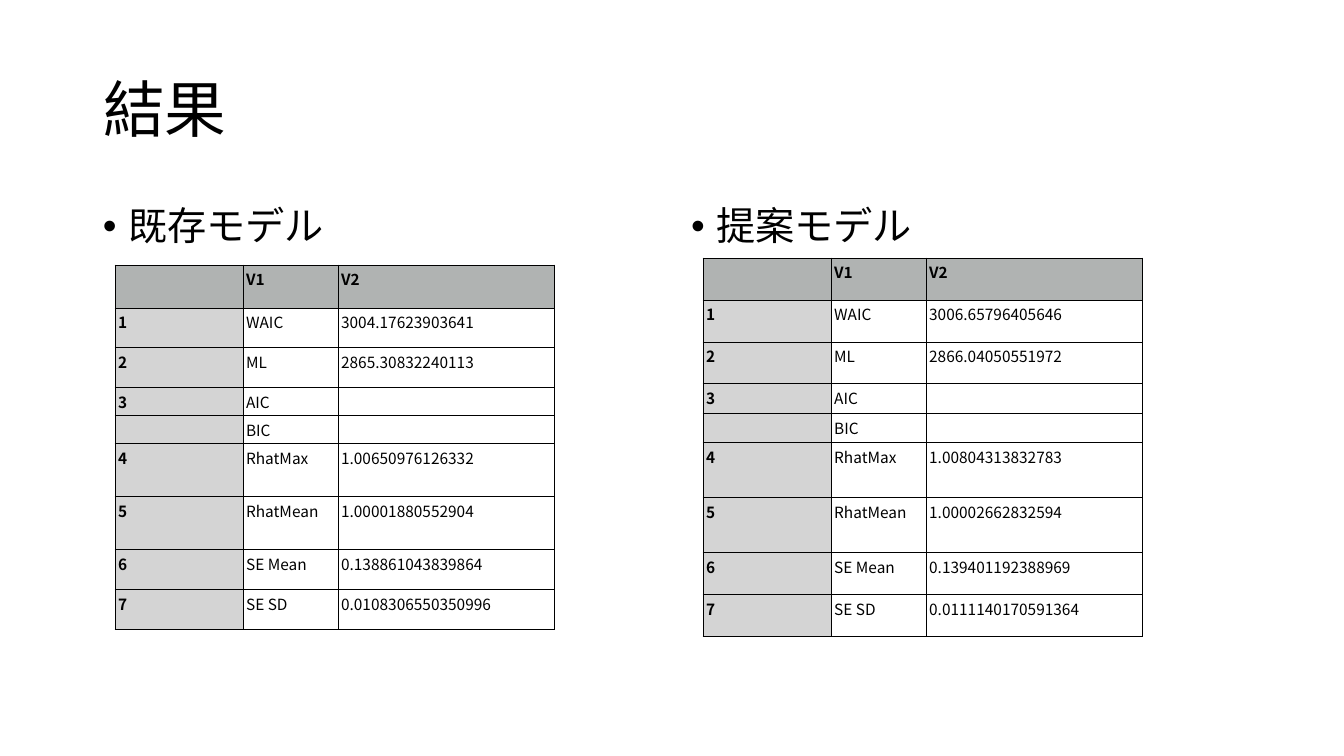
from lxml import etree
from pptx import Presentation
from pptx import util as u
from pptx.dml.color import RGBColor
from pptx.enum import text
from pptx.oxml import ns

PX = 9071
FONT = "Noto Sans CJK JP"
BLACK, HEADER, INDEX = "000000", "B0B3B2", "D4D4D4"
COLUMNS = [128, 95, 216]
INDICES = ["1", "2", "3", "", "4", "5", "6", "7"]
MEASURES = ["WAIC", "ML", "AIC", "BIC", "RhatMax", "RhatMean", "SE Mean", "SE SD"]


def px(*lengths):
    return [u.Emu(n * PX) for n in lengths]


def color(value):
    return RGBColor.from_string(value)


def add_xml(parent, tag, **attrs):
    return etree.SubElement(parent, ns.qn(tag), attrs)


def style(p, size, bold=False):
    for r in p.runs:
        r.font.size, r.font.bold, r.font.name = u.Pt(size), bold, FONT
        r.font.color.rgb = color(BLACK)
        add_xml(r._r.get_or_add_rPr(), "a:ea", typeface=FONT)


def add_title(s, box, words):
    sp = s.shapes.title
    sp.left, sp.top, sp.width, sp.height = px(*box)
    tf = sp.text_frame
    tf.text = words
    tf.auto_size = text.MSO_AUTO_SIZE.NONE
    tf.vertical_anchor = text.MSO_ANCHOR.MIDDLE
    p = tf.paragraphs[0]
    p.alignment, p.line_spacing = text.PP_ALIGN.LEFT, 0.9
    style(p, 44)


def add_bullet(s, box, words):
    tf = s.shapes.add_textbox(*px(*box)).text_frame
    tf.word_wrap = True
    tf.text = words
    p = tf.paragraphs[0]
    p.line_spacing, p.space_before = 0.9, u.Pt(10)
    pPr = p._p.get_or_add_pPr()
    pPr.set("marL", "228600")
    pPr.set("indent", "-228600")
    add_xml(pPr, "a:buFont", typeface="Arial")
    add_xml(pPr, "a:buChar", char="•")
    style(p, 28)


def format_cell(cell, words, fill, bold):
    cell.margin_left = cell.margin_right = u.Inches(0.03)
    cell.margin_top = cell.margin_bottom = u.Inches(0.03)
    tcPr = cell._tc.get_or_add_tcPr()
    for side in ("a:lnL", "a:lnR", "a:lnT", "a:lnB"):
        ln = add_xml(tcPr, side, w=str(u.Pt(0.75)))
        add_xml(add_xml(ln, "a:solidFill"), "a:srgbClr", val=BLACK)
    if fill:
        cell.fill.solid()
        cell.fill.fore_color.rgb = color(fill)
    else:
        cell.fill.background()
    p = cell.text_frame.paragraphs[0]
    if words:
        p.text = words
        style(p, 11, bold)
    else:
        add_xml(p._p, "a:endParaRPr", sz="1100")


def add_results(s, left, top, heights, values):
    rows = [("", "V1", "V2"), *zip(INDICES, MEASURES, values)]
    frame = s.shapes.add_table(len(rows), len(COLUMNS),
                               *px(left, top, sum(COLUMNS), sum(heights)))
    table = frame.table
    table.horz_banding = False
    for column, width in zip(table.columns, px(*COLUMNS)):
        column.width = width
    for row, height in zip(table.rows, px(*heights)):
        row.height = height
    for i, row in enumerate(rows):
        for j, words in enumerate(row):
            fill = HEADER if i == 0 else INDEX if j == 0 else None
            format_cell(table.cell(i, j), words, fill, bool(fill))


def add_model(s, box, name, table_top, heights, values):
    left, top, width, height = box
    add_bullet(s, box, name)
    add_results(s, left + 22, top + table_top, heights, values)


prs = Presentation()
prs.slide_width, prs.slide_height = u.Inches(13.33), u.Inches(7.5)
s = prs.slides.add_slide(prs.slide_layouts[5])
add_title(s, (93, 40, 1159, 146), "結果")
add_model(s, (93, 202, 571, 480), "既存モデル", 63,
          [43, 40, 40, 28, 28, 53, 53, 40, 40],
          ["3004.17623903641", "2865.30832240113", "", "", "1.00650976126332",
           "1.00001880552904", "0.138861043839864", "0.0108306550350996"])
add_model(s, (681, 202, 571, 480), "提案モデル", 56,
          [42, 42, 42, 30, 29, 55, 55, 42, 42],
          ["3006.65796405646", "2866.04050551972", "", "", "1.00804313832783",
           "1.00002662832594", "0.139401192388969", "0.0111140170591364"])
prs.save("out.pptx")
